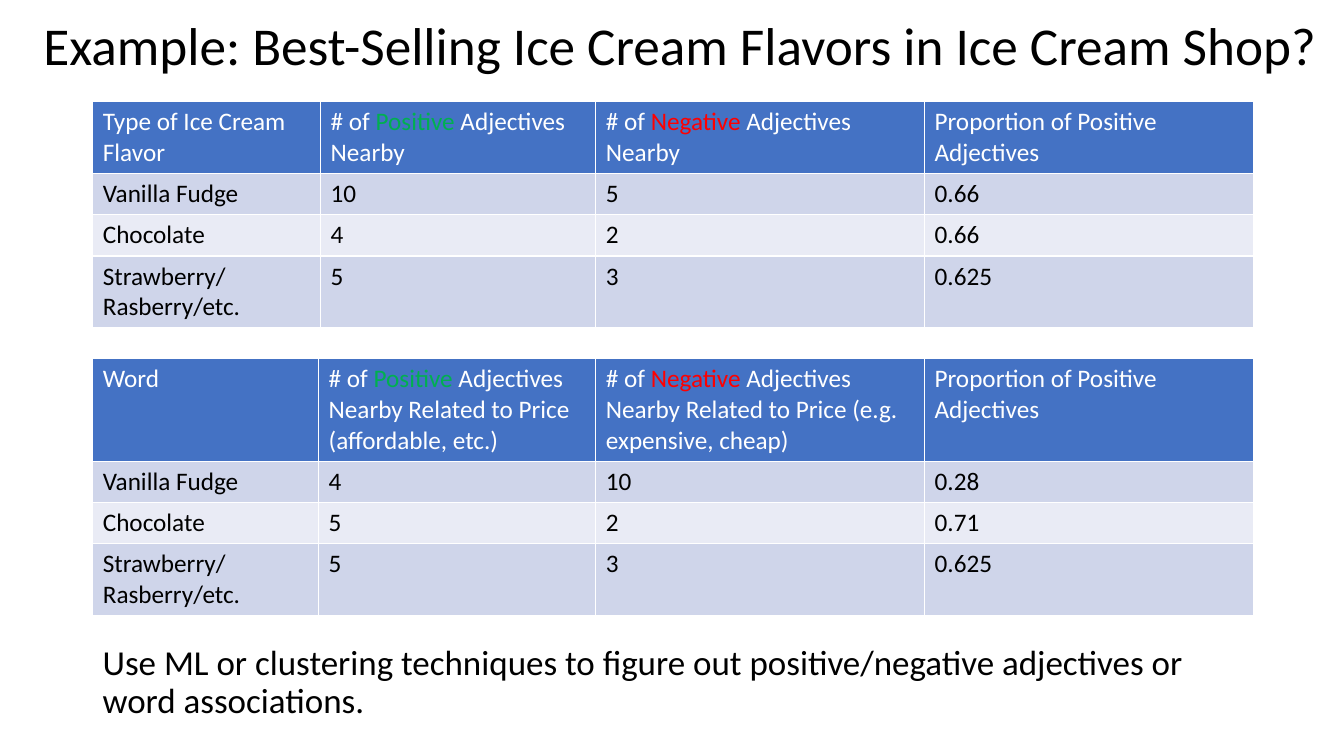
"""Builds the slide comparing adjectives near ice cream flavors."""
from dataclasses import dataclass

from pptx import Presentation
from pptx.dml.color import RGBColor
from pptx.enum.text import MSO_ANCHOR, MSO_AUTO_SIZE, PP_ALIGN
from pptx.util import Inches, Pt


@dataclass(frozen=True)
class Theme:
    """Holds the font, colours and type sizes."""
    font: str = "Calibri"
    text: str = "000000"
    header_text: str = "FFFFFF"
    header_fill: str = "4472C4"
    band_fills: tuple = ("CFD5EA", "E9EBF5")
    accents: tuple = (("Positive", "00B050"), ("Negative", "FF0000"))
    title_size: int = 38
    note_size: int = 25
    table_size: int = 18


def append_run(paragraph, text, *, font, size, color):
    """Appends one formatted run to a paragraph."""
    run = paragraph.add_run()
    run.text = text
    run.font.name = font
    run.font.size = Pt(size)
    run.font.bold = False
    run.font.color.rgb = RGBColor.from_string(color)


class SlideBuilder:
    """Adds styled elements to the current slide."""

    def __init__(self, slide, theme):
        """Keeps the slide and its theme."""
        self.slide = slide
        self.theme = theme

    def add_text(self, paragraph, text, size, color):
        """Adds text in the theme font."""
        append_run(paragraph, text, font=self.theme.font, size=size, color=color)

    def fill_frame(self, frame, text, size):
        """Fills a frame with one left-aligned, vertically centred paragraph."""
        frame.word_wrap = True
        frame.auto_size = MSO_AUTO_SIZE.NONE
        frame.vertical_anchor = MSO_ANCHOR.MIDDLE
        paragraph = frame.paragraphs[0]
        paragraph.alignment = PP_ALIGN.LEFT
        paragraph.line_spacing = 0.9
        self.add_text(paragraph, text, size, self.theme.text)

    def add_title(self, text, left, top, width, height):
        """Places and fills the title placeholder."""
        title = self.slide.shapes.title
        title.left, title.top = Inches(left), Inches(top)
        title.width, title.height = Inches(width), Inches(height)
        self.fill_frame(title.text_frame, text, self.theme.title_size)

    def add_note(self, text, left, top, width, height):
        """Adds a text box with a closing remark."""
        note = self.slide.shapes.add_textbox(
            Inches(left), Inches(top), Inches(width), Inches(height))
        self.fill_frame(note.text_frame, text, self.theme.note_size)

    def add_header(self, paragraph, text):
        """Adds a header, colouring the adjective kind after the number sign."""
        size, color = self.theme.table_size, self.theme.header_text
        for word, accent in self.theme.accents:
            before, found, after = text.partition(f"# of {word}")
            if found:
                self.add_text(paragraph, "# of ", size, color)
                self.add_text(paragraph, word, size, accent)
                self.add_text(paragraph, after, size, color)
                return
        self.add_text(paragraph, text, size, color)

    def add_table(self, rows, left, top, column_widths, row_heights):
        """Adds a banded table with a header row."""
        frame = self.slide.shapes.add_table(
            len(rows), len(column_widths), Inches(left), Inches(top),
            Inches(sum(column_widths)), Inches(sum(row_heights)))
        table = frame.table
        for column, width in zip(table.columns, column_widths):
            column.width = Inches(width)
        for index, (row, height, values) in enumerate(
                zip(table.rows, row_heights, rows)):
            row.height = Inches(height)
            fill = (self.theme.band_fills[(index - 1) % 2] if index
                    else self.theme.header_fill)
            for cell, value in zip(row.cells, values):
                cell.fill.solid()
                cell.fill.fore_color.rgb = RGBColor.from_string(fill)
                paragraph = cell.text_frame.paragraphs[0]
                if index:
                    self.add_text(paragraph, value, self.theme.table_size,
                                  self.theme.text)
                else:
                    self.add_header(paragraph, value)


FLAVORS = ("Vanilla Fudge", "Chocolate", "Strawberry/Rasberry/etc.")
PROPORTION = "Proportion of Positive Adjectives"
LEFT, WIDTH = 0.92, 11.5
LINE_ROW, TWO_LINE_ROW, THREE_LINE_ROW = 0.41, 0.71, 1.01
BODY_HEIGHTS = (LINE_ROW, LINE_ROW, TWO_LINE_ROW)


def flavor_rows(header, counts):
    """Joins the header with one row of counts per flavor."""
    return [header] + [(flavor, *values) for flavor, values in zip(FLAVORS, counts)]


def main():
    """Builds and saves the presentation."""
    presentation = Presentation()
    presentation.slide_width = Inches(13.33)
    presentation.slide_height = Inches(7.5)
    slide = presentation.slides.add_slide(presentation.slide_layouts[5])
    builder = SlideBuilder(slide, Theme())

    builder.add_title("Example: Best-Selling Ice Cream Flavors in Ice Cream Shop?",
                      0.33, -0.25, 13.27, 1.45)
    builder.add_table(
        flavor_rows(("Type of Ice Cream Flavor", "# of Positive Adjectives Nearby",
                     "# of Negative Adjectives Nearby", PROPORTION),
                    (("10", "5", "0.66"), ("4", "2", "0.66"), ("5", "3", "0.625"))),
        LEFT, 1.01, (2.26, 2.73, 3.26, 3.26), (TWO_LINE_ROW, *BODY_HEIGHTS))
    builder.add_table(
        flavor_rows(("Word",
                     "# of Positive Adjectives Nearby Related to Price "
                     "(affordable, etc.)",
                     "# of Negative Adjectives Nearby Related to Price "
                     "(e.g. expensive, cheap)", PROPORTION),
                    (("4", "10", "0.28"), ("5", "2", "0.71"), ("5", "3", "0.625"))),
        LEFT, 3.56, (2.24, 2.75, 3.26, 3.26), (THREE_LINE_ROW, *BODY_HEIGHTS))
    builder.add_note("Use ML or clustering techniques to figure out "
                     "positive/negative adjectives or word associations.",
                     LEFT, 6.05, WIDTH, 1.45)
    presentation.save("out.pptx")


main()
